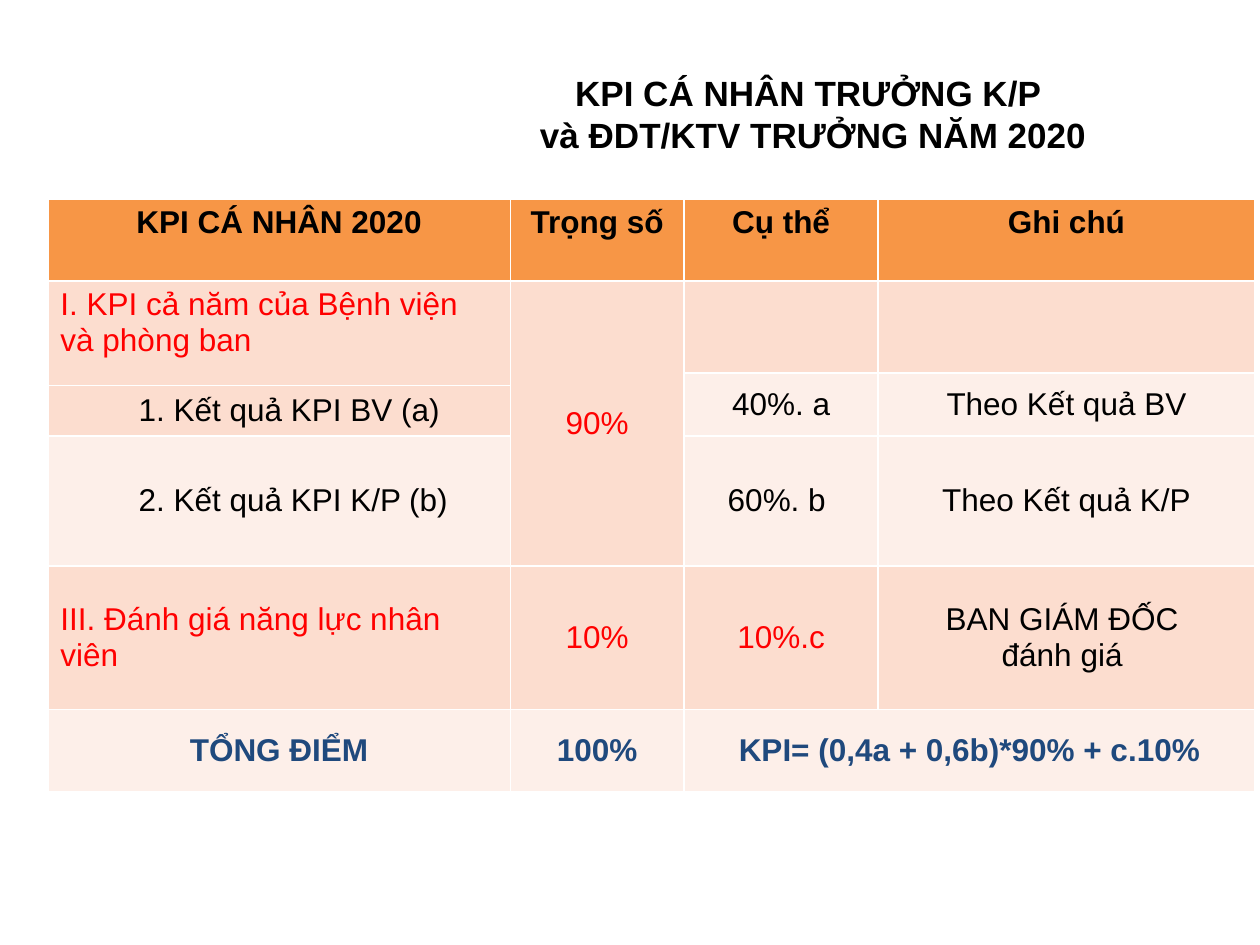
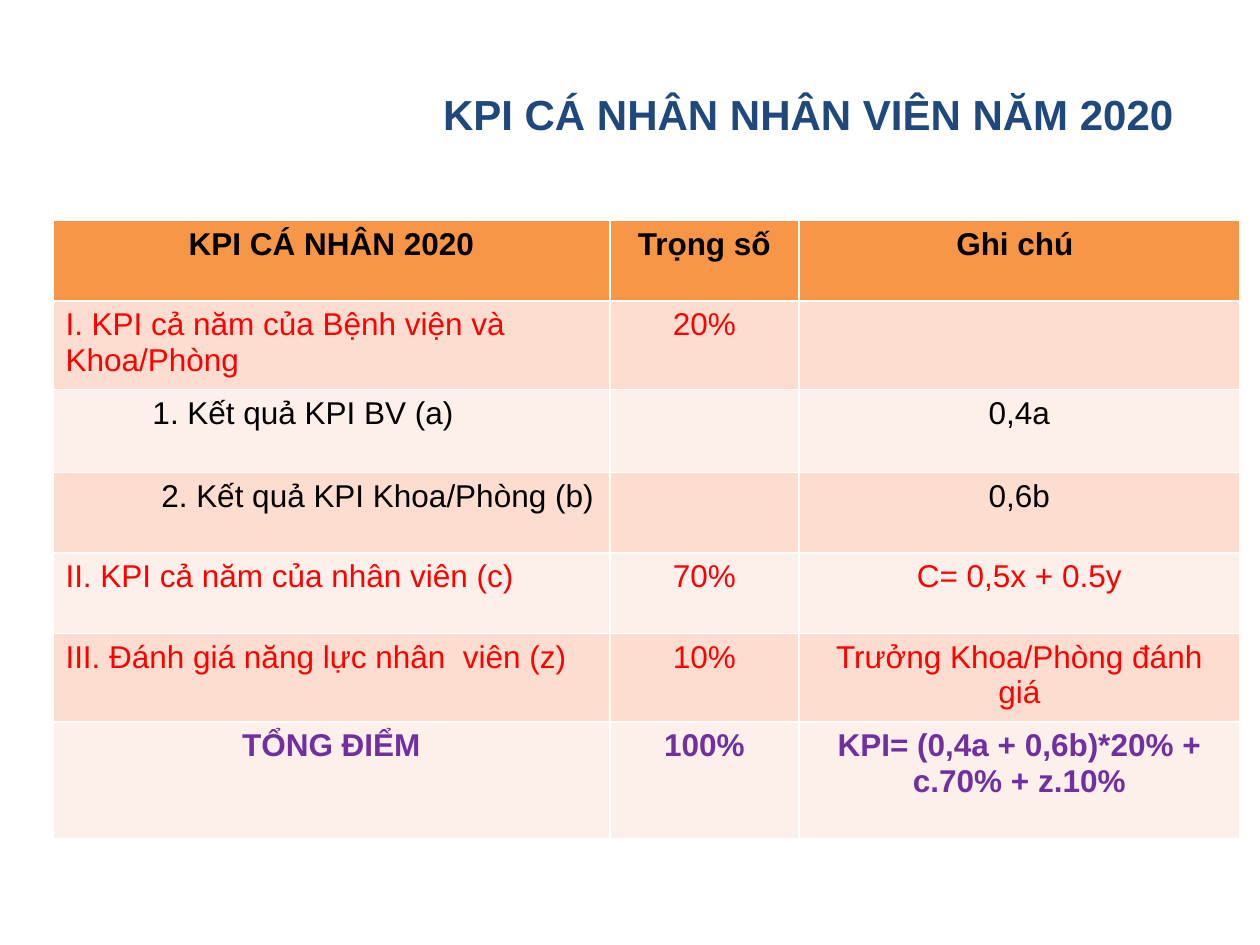
from pptx import Presentation
from pptx import util as u
from pptx.dml.color import RGBColor
from pptx.enum import text

BLACK = RGBColor(0x00, 0x00, 0x00)
RED = RGBColor(0xFF, 0x00, 0x00)
NAVY = RGBColor(0x1F, 0x49, 0x7D)
VIOLET = RGBColor(0x70, 0x30, 0xA0)
ORANGE = RGBColor(0xF7, 0x96, 0x46)
BANDS = RGBColor(0xFD, 0xEF, 0xE9), RGBColor(0xFC, 0xDD, 0xCF)

MID, TOP = text.MSO_ANCHOR.MIDDLE, text.MSO_ANCHOR.TOP
CENTER, LEFT = text.PP_ALIGN.CENTER, text.PP_ALIGN.LEFT
FONT, SIZE = "Arial", 18
WIDE, HIGH = 10, 7.5
TITLE = 3.33, 0.3, 6.17, 1.2

# Each row: height, text colour, indent of the first column, cell texts.
# The first row is the header, the last one the total.
# Spans: first and last cell, as (row, column). Tints: colours of single cells.
PAGES = [
    dict(
        title="KPI CÁ NHÂN TRƯỞNG K/P\v và ĐDT/KTV TRƯỞNG NĂM 2020",
        size=20, color=BLACK, at=(0.38, 1.58), anchor=MID,
        cols=[3.67, 1.38, 1.54, 2.99],
        rows=[
            (0.65, BLACK, 0, ["KPI CÁ NHÂN 2020", "Trọng số", "Cụ thể", "Ghi chú"]),
            (0.73, RED, 0, ["I. KPI cả năm của Bệnh viện và phòng ban", "90%", "", ""]),
            (0.1, BLACK, 0, ["", "", "40%. a", "Theo Kết quả BV"]),
            (0.39, BLACK, 0.62, ["1. Kết quả KPI BV (a)", "", "", ""]),
            (1.03, BLACK, 0.62, ["2. Kết quả KPI K/P (b)", "", "60%. b ", "Theo Kết quả K/P"]),
            (1.14, RED, 0, ["III. Đánh giá năng lực nhân  viên", "10%", "10%.c",
                            "BAN GIÁM ĐỐC \nđánh giá "]),
            (0.65, NAVY, 0, ["TỔNG ĐIỂM", "100%", "KPI= (0,4a + 0,6b)*90% + c.10%", ""]),
        ],
        spans=[((1, 0), (2, 0)), ((1, 1), (4, 1)), ((2, 2), (3, 2)),
               ((2, 3), (3, 3)), ((6, 2), (6, 3))],
        tints={(5, 3): BLACK}, tops=[(1, 0)],
    ),
    dict(
        title="KPI CÁ NHÂN NHÂN VIÊN NĂM 2020",
        size=24, color=NAVY, at=(0.42, 1.75), anchor=TOP,
        cols=[4.42, 1.5, 3.5],
        rows=[
            (0.64, BLACK, 0, ["KPI CÁ NHÂN 2020", "Trọng số", "Ghi chú "]),
            (0.66, RED, 0, ["I. KPI cả năm của Bệnh viện và Khoa/Phòng", "20%", ""]),
            (0.66, BLACK, 0.69, ["1. Kết quả KPI BV (a)", "", "0,4a"]),
            (0.64, BLACK, 0.76, ["2. Kết quả KPI Khoa/Phòng (b)", "", "0,6b"]),
            (0.64, RED, 0, ["II. KPI cả năm của nhân viên (c)", "70%", "C= 0,5x + 0.5y"]),
            (0.66, RED, 0, ["III. Đánh giá năng lực nhân  viên (z)", "10%",
                            "Trưởng Khoa/Phòng đánh giá"]),
            (0.93, VIOLET, 0, ["TỔNG ĐIỂM", "100%",
                               "KPI= (0,4a + 0,6b)*20% + c.70% + z.10%"]),
        ],
        spans=[], tints={}, tops=[],
    ),
]


def write(frame, words, align, size, color, bold, indent=0):
    frame.text = words
    form = dict(name=FONT, size=u.Pt(size), bold=bold)
    for para in frame.paragraphs:
        para.alignment = align
        if indent:
            para._p.get_or_add_pPr().set("marL", str(u.Inches(indent)))
        for part in [para, *para.runs]:
            for key, val in form.items():
                setattr(part.font, key, val)
            part.font.color.rgb = color


def head(slide, page):
    frame = slide.shapes.add_textbox(*map(u.Inches, TITLE)).text_frame
    frame.word_wrap = True
    frame.vertical_anchor = MID
    write(frame, page["title"], CENTER, page["size"], page["color"], True)


def grid(slide, page):
    rows, cols = page["rows"], page["cols"]
    box = *page["at"], sum(cols), sum(row[0] for row in rows)
    table = slide.shapes.add_table(len(rows), len(cols), *map(u.Inches, box)).table
    for col, wide in zip(table.columns, cols):
        col.width = u.Inches(wide)
    last = len(rows) - 1
    for r, (high, color, indent, words) in enumerate(rows):
        table.rows[r].height = u.Inches(high)
        bold = r in (0, last)
        for c, word in enumerate(words):
            cell = table.cell(r, c)
            cell.fill.solid()
            cell.fill.fore_color.rgb = BANDS[r % 2] if r else ORANGE
            cell.vertical_anchor = TOP if r == 0 or (r, c) in page["tops"] else page["anchor"]
            if word:
                write(cell.text_frame, word, CENTER if c or bold else LEFT, SIZE,
                      page["tints"].get((r, c), color), bold, 0 if c else indent)
    for first, end in page["spans"]:
        table.cell(*first).merge(table.cell(*end))


def main():
    deck = Presentation()
    deck.slide_width, deck.slide_height = u.Inches(WIDE), u.Inches(HIGH)
    for page in PAGES:
        slide = deck.slides.add_slide(deck.slide_layouts[6])
        head(slide, page)
        grid(slide, page)
    deck.save("out.pptx")


if __name__ == "__main__":
    main()
